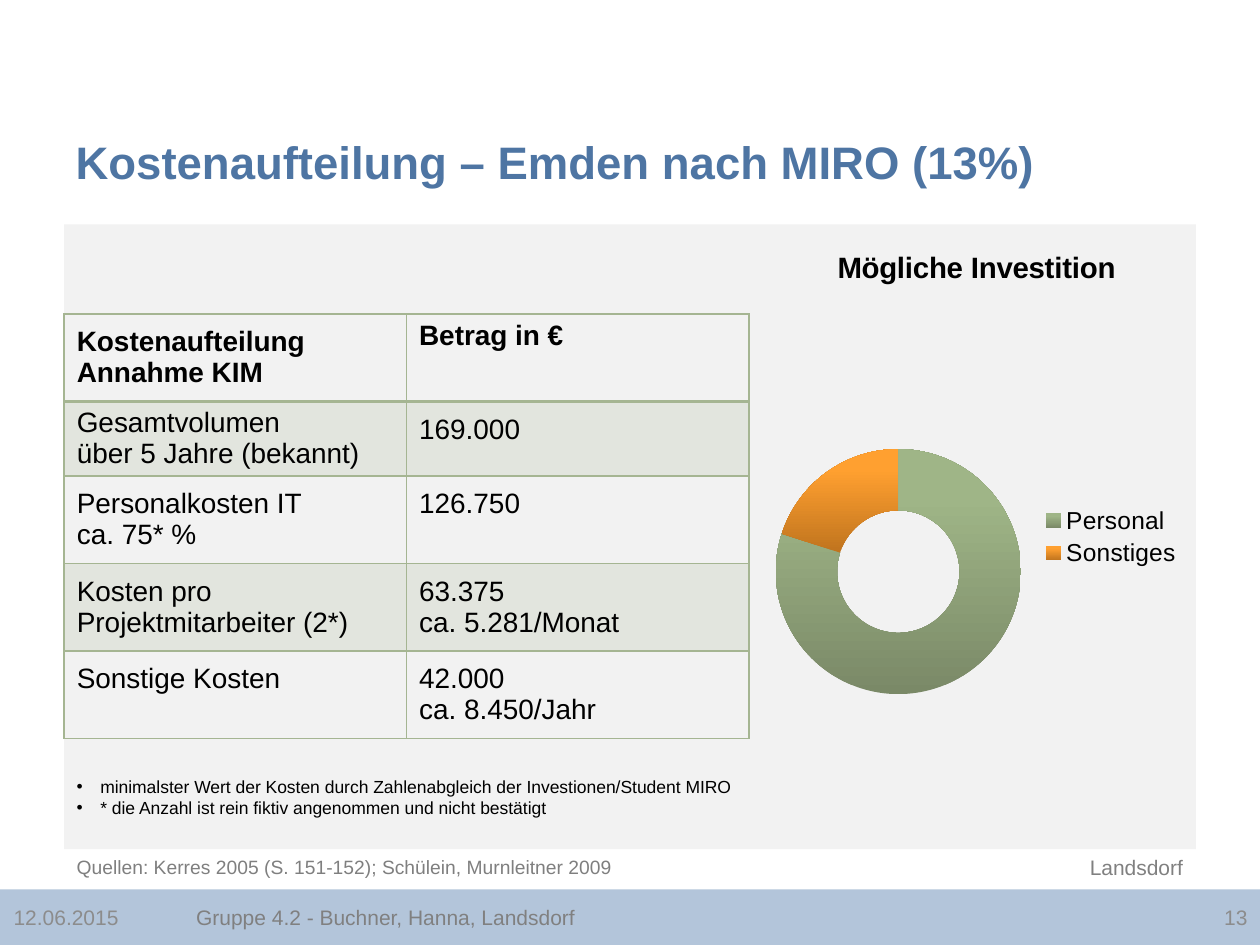
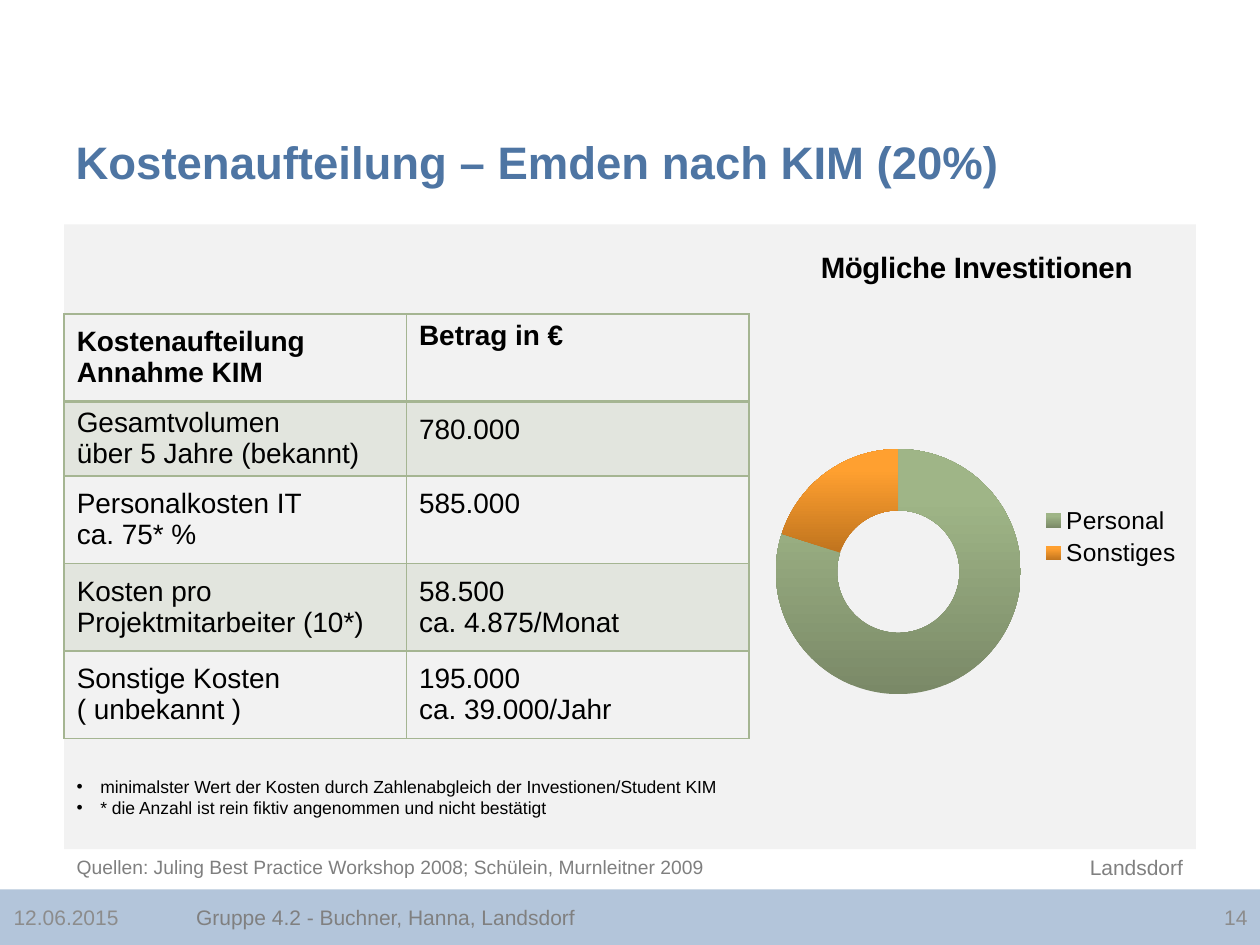
"""Build two slides that split project costs by table and doughnut chart."""
import pptx
import pptx.chart.data
import pptx.dml.color
import pptx.enum.chart
import pptx.enum.shapes
import pptx.enum.text
import pptx.oxml
import pptx.oxml.ns
import pptx.util
from lxml import etree

Pt = pptx.util.Pt
RGBColor = pptx.dml.color.RGBColor
PP_ALIGN = pptx.enum.text.PP_ALIGN
MSO_ANCHOR = pptx.enum.text.MSO_ANCHOR
qn = pptx.oxml.ns.qn

FONT = "Arial"
BLACK = RGBColor(0x00, 0x00, 0x00)
TITLE_BLUE = RGBColor(0x4E, 0x75, 0xA3)
BAND_BLUE = RGBColor(0xB3, 0xC5, 0xDA)
PANEL_GREY = RGBColor(0xF2, 0xF2, 0xF2)
FOOTER_GREY = RGBColor(0x8C, 0x8C, 0x8C)
AUTHOR_GREY = RGBColor(0x80, 0x80, 0x80)
SOURCE_GREY = RGBColor(0x7F, 0x7F, 0x7F)
SAGE = RGBColor(0xA5, 0xB5, 0x92)
SLICE_SHADES = [
    (RGBColor(0x9F, 0xB5, 0x87), RGBColor(0x7A, 0x89, 0x67)),
    (RGBColor(0xFF, 0xA0, 0x30), RGBColor(0xC0, 0x74, 0x1E)),
]

SLIDE_WIDTH, SLIDE_HEIGHT = 720, 540
PANEL_LEFT, PANEL_TOP, PANEL_WIDTH, PANEL_HEIGHT = 36.7, 128.2, 646.6, 357.1
BAND_TOP, BAND_HEIGHT = 508.3, 31.7
TABLE_TOP, TABLE_WIDTH = 179.3, 391.2
ROW_HEIGHTS = [49.7, 42.4, 49.7, 49.7, 49.7]
NARROW_CELLS = {(0, 1), (1, 0)}

COST_SLIDES = [
    {
        "title": "Kostenaufteilung – Emden nach MIRO (13%)",
        "project": "MIRO",
        "chart_title": "Mögliche Investition",
        "amounts": ["169.000", "126.750", "63.375\nca. 5.281/Monat",
                    "42.000\nca. 8.450/Jahr"],
        "staff": "2*",
        "other": "Sonstige Kosten",
        "sources": "Quellen: Kerres 2005 (S. 151-152); Schülein, Murnleitner 2009",
        "sources_width": 322.6,
        "number": "13",
    },
    {
        "title": "Kostenaufteilung – Emden nach KIM (20%)",
        "project": "KIM",
        "chart_title": "Mögliche Investitionen",
        "amounts": ["780.000", "585.000", "58.500\nca. 4.875/Monat",
                    "195.000\nca. 39.000/Jahr"],
        "staff": "10*",
        "other": "Sonstige Kosten ( unbekannt )",
        "sources": "Quellen: Juling Best Practice Workshop 2008; Schülein, Murnleitner 2009",
        "sources_width": 375.8,
        "number": "14",
    },
]


def style_font(font, size, color, bold=False):
    """Apply the deck font with a size, colour and weight."""
    font.name, font.size, font.bold = FONT, Pt(size), bold
    font.color.rgb = color


def style_runs(text_frame, size, color, bold=False, align=PP_ALIGN.LEFT):
    """Format every paragraph and run of a text frame."""
    for paragraph in text_frame.paragraphs:
        paragraph.alignment = align
        for run in paragraph.runs:
            style_font(run.font, size, color, bold)


def add_band(slide, left, top, width, height, color):
    """Add a plain filled rectangle."""
    band = slide.shapes.add_shape(
        pptx.enum.shapes.MSO_SHAPE.RECTANGLE, Pt(left), Pt(top), Pt(width), Pt(height))
    band.shadow.inherit = False
    band.fill.solid()
    band.fill.fore_color.rgb = color
    band.line.fill.background()


def add_label(slide, text, box, size, color, align=PP_ALIGN.LEFT,
              anchor=MSO_ANCHOR.TOP, wrap=True):
    """Add a text box and return its text frame."""
    frame = slide.shapes.add_textbox(*map(Pt, box)).text_frame
    frame.word_wrap = wrap
    frame.vertical_anchor = anchor
    frame.text = text
    style_runs(frame, size, color, align=align)
    return frame


def set_title(slide, text):
    """Place and format the slide title."""
    title = slide.shapes.title
    title.left, title.top, title.width, title.height = map(Pt, (36, 21.6, 648, 90))
    title.text_frame.text = text
    title.text_frame.vertical_anchor = MSO_ANCHOR.BOTTOM
    style_runs(title.text_frame, 26, TITLE_BLUE, bold=True)


def set_borders(cell, widths):
    """Draw the four borders of a cell, given widths by side."""
    properties = cell._tc.get_or_add_tcPr()
    for side, width in widths.items():
        line = etree.SubElement(properties, qn(f"a:ln{side}"), w=str(Pt(width)))
        fill = etree.SubElement(line, qn("a:solidFill"))
        etree.SubElement(fill, qn("a:srgbClr"), val=str(SAGE))


def fill_cell(cell, tinted):
    """Give a cell a translucent tint or no fill."""
    if not tinted:
        cell.fill.background()
        return
    cell.fill.solid()
    cell.fill.fore_color.rgb = SAGE
    color = cell._tc.get_or_add_tcPr().find(qn("a:solidFill"))[0]
    etree.SubElement(color, qn("a:alpha"), val="20000")


def add_cost_table(slide, rows):
    """Add the two-column cost table."""
    table = slide.shapes.add_table(
        len(rows), 2, Pt(PANEL_LEFT), Pt(TABLE_TOP), Pt(TABLE_WIDTH),
        Pt(sum(ROW_HEIGHTS))).table
    table.horz_banding = False
    for column in table.columns:
        column.width = Pt(TABLE_WIDTH / 2)
    for r, texts in enumerate(rows):
        table.rows[r].height = Pt(ROW_HEIGHTS[r])
        for c, text in enumerate(texts):
            cell = table.cell(r, c)
            cell.text_frame.paragraphs[0].text = text
            style_runs(cell.text_frame, 16, BLACK, bold=r == 0)
            cell.margin_left = cell.margin_right = Pt(7.2)
            cell.margin_top = cell.margin_bottom = Pt(3.6 if (r, c) in NARROW_CELLS else 7.2)
            set_borders(cell, {"L": 1, "R": 1, "T": 2 if r == 1 else 1,
                               "B": 2 if r == 0 else 1})
            fill_cell(cell, tinted=r % 2 == 1)


def add_investment_chart(slide, title):
    """Add the doughnut of staff and other costs."""
    shares = pptx.chart.data.CategoryChartData()
    shares.categories = ["Personal", "Sonstiges"]
    shares.add_series("Series 1", (80, 20))
    chart = slide.shapes.add_chart(
        pptx.enum.chart.XL_CHART_TYPE.DOUGHNUT, Pt(433.4), Pt(PANEL_TOP),
        Pt(249.1), Pt(PANEL_HEIGHT), shares).chart
    style_font(chart.font, 14, BLACK)
    chart.has_title = True
    chart.chart_title.include_in_layout = False
    chart.chart_title.text_frame.text = title
    style_runs(chart.chart_title.text_frame, 16.8, BLACK, bold=True, align=PP_ALIGN.CENTER)
    chart.has_legend = True
    chart.legend.position = pptx.enum.chart.XL_LEGEND_POSITION.RIGHT
    chart.legend.include_in_layout = False
    style_font(chart.legend.font, 14, BLACK)
    plot = chart.plots[0]
    plot.has_data_labels = False
    plot.vary_by_categories = True
    for index, (light, dark) in enumerate(SLICE_SHADES):
        slice_format = plot.series[0].points[index].format
        slice_format.line.fill.background()
        slice_format.fill.gradient()
        slice_format.fill.gradient_angle = 90
        bottom, top = slice_format.fill.gradient_stops
        bottom.color.rgb, top.color.rgb = dark, light
        top.position = 0.8


def add_footnotes(slide, project):
    """Add the two bulleted notes below the table."""
    notes = (f"minimalster Wert der Kosten durch Zahlenabgleich der Investionen/Student {project}\n"
             "* die Anzahl ist rein fiktiv angenommen und nicht bestätigt")
    frame = add_label(slide, notes, (PANEL_LEFT, 439.9, TABLE_WIDTH, 31.7), 10, BLACK)
    for paragraph in frame.paragraphs:
        properties = paragraph._p.get_or_add_pPr()
        properties.set("marL", str(Pt(13.5)))
        properties.set("indent", str(Pt(-13.5)))
        etree.SubElement(properties, qn("a:buFont"), typeface=FONT)
        etree.SubElement(properties, qn("a:buChar"), char="•")


def add_footer(slide, number):
    """Add date, group and page number on the bottom band."""
    entries = [
        ("12.06.2015", 0.7, 103.7, FOOTER_GREY, PP_ALIGN.LEFT),
        ("Gruppe 4.2 - Buchner, Hanna, Landsdorf", 105, 538.6, AUTHOR_GREY, PP_ALIGN.LEFT),
        (number, 643.7, 76.3, FOOTER_GREY, PP_ALIGN.RIGHT),
    ]
    for text, left, width, color, align in entries:
        add_label(slide, text, (left, BAND_TOP, width, BAND_HEIGHT), 12, color,
                  align, MSO_ANCHOR.MIDDLE)


def add_cost_slide(deck, content):
    """Build one cost slide from its content."""
    slide = deck.slides.add_slide(deck.slide_layouts[5])
    add_band(slide, 0, BAND_TOP, SLIDE_WIDTH, BAND_HEIGHT, BAND_BLUE)
    add_band(slide, PANEL_LEFT, PANEL_TOP, PANEL_WIDTH, PANEL_HEIGHT, PANEL_GREY)
    set_title(slide, content["title"])
    add_investment_chart(slide, content["chart_title"])
    cost_items = ["Gesamtvolumen\nüber 5 Jahre (bekannt)", "Personalkosten IT\nca. 75* %",
                  f"Kosten pro Projektmitarbeiter ({content['staff']})", content["other"]]
    header = ("Kostenaufteilung Annahme KIM", "Betrag in €")
    add_cost_table(slide, [header, *zip(cost_items, content["amounts"])])
    add_footer(slide, content["number"])
    add_footnotes(slide, content["project"])
    add_label(slide, content["sources"], (PANEL_LEFT, 485.3, content["sources_width"], 20.6),
              11, SOURCE_GREY, wrap=False)
    add_label(slide, "Landsdorf", (577.4, 484.6, 105.8, 21.6), 12, AUTHOR_GREY, PP_ALIGN.RIGHT)


def main():
    """Create the deck and save it."""
    deck = pptx.Presentation()
    deck.slide_width, deck.slide_height = Pt(SLIDE_WIDTH), Pt(SLIDE_HEIGHT)
    for content in COST_SLIDES:
        add_cost_slide(deck, content)
    deck.save("out.pptx")


if __name__ == "__main__":
    main()
